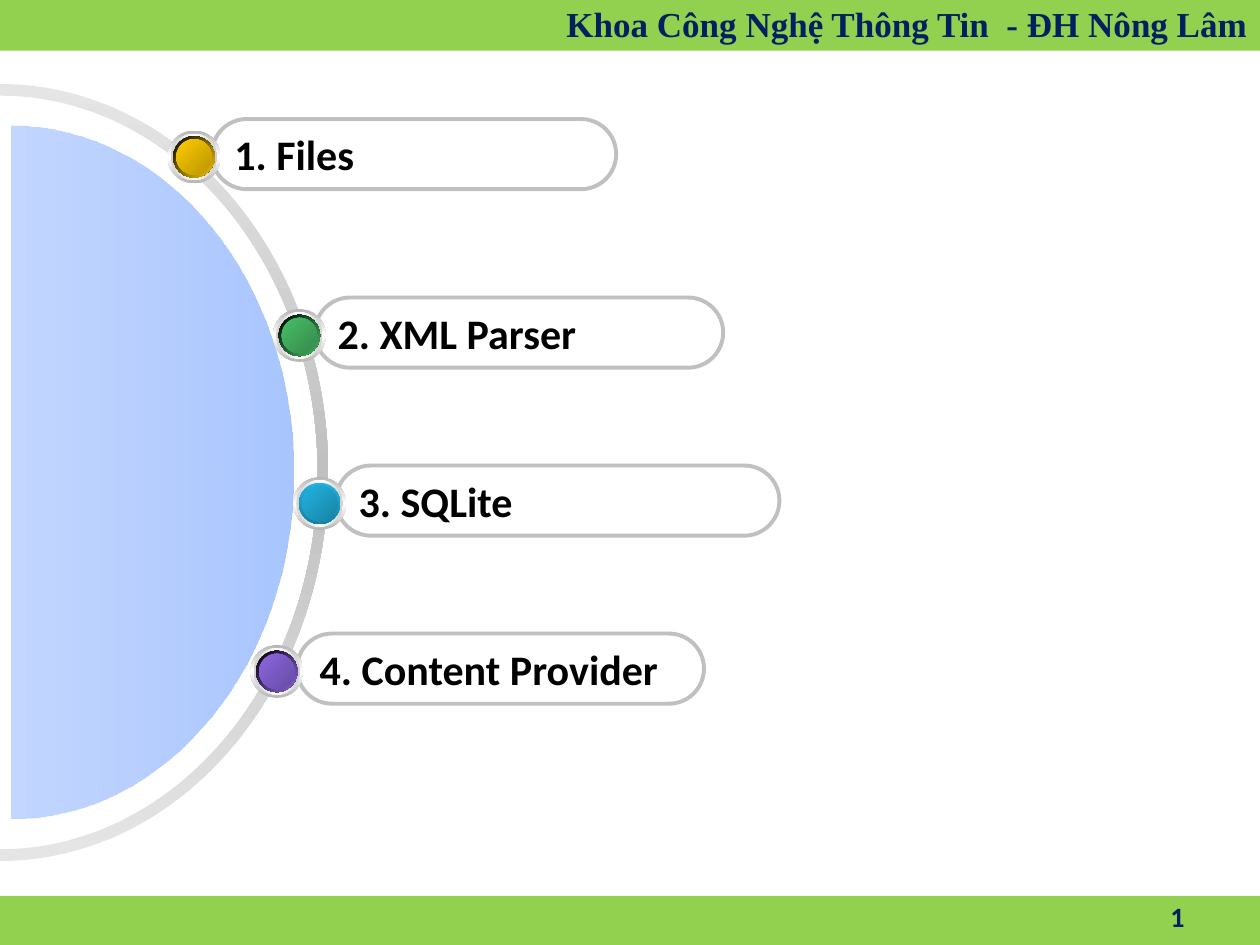
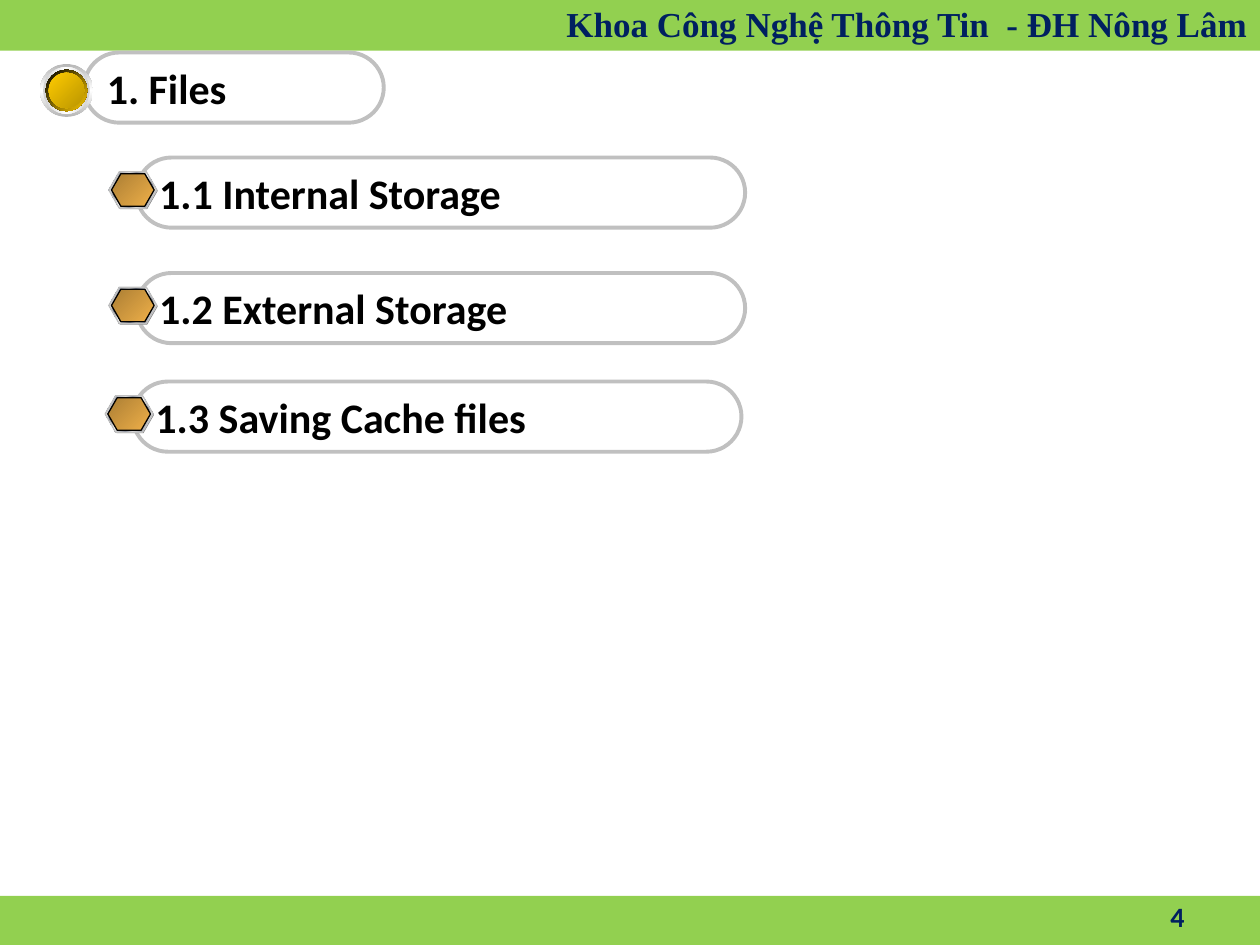
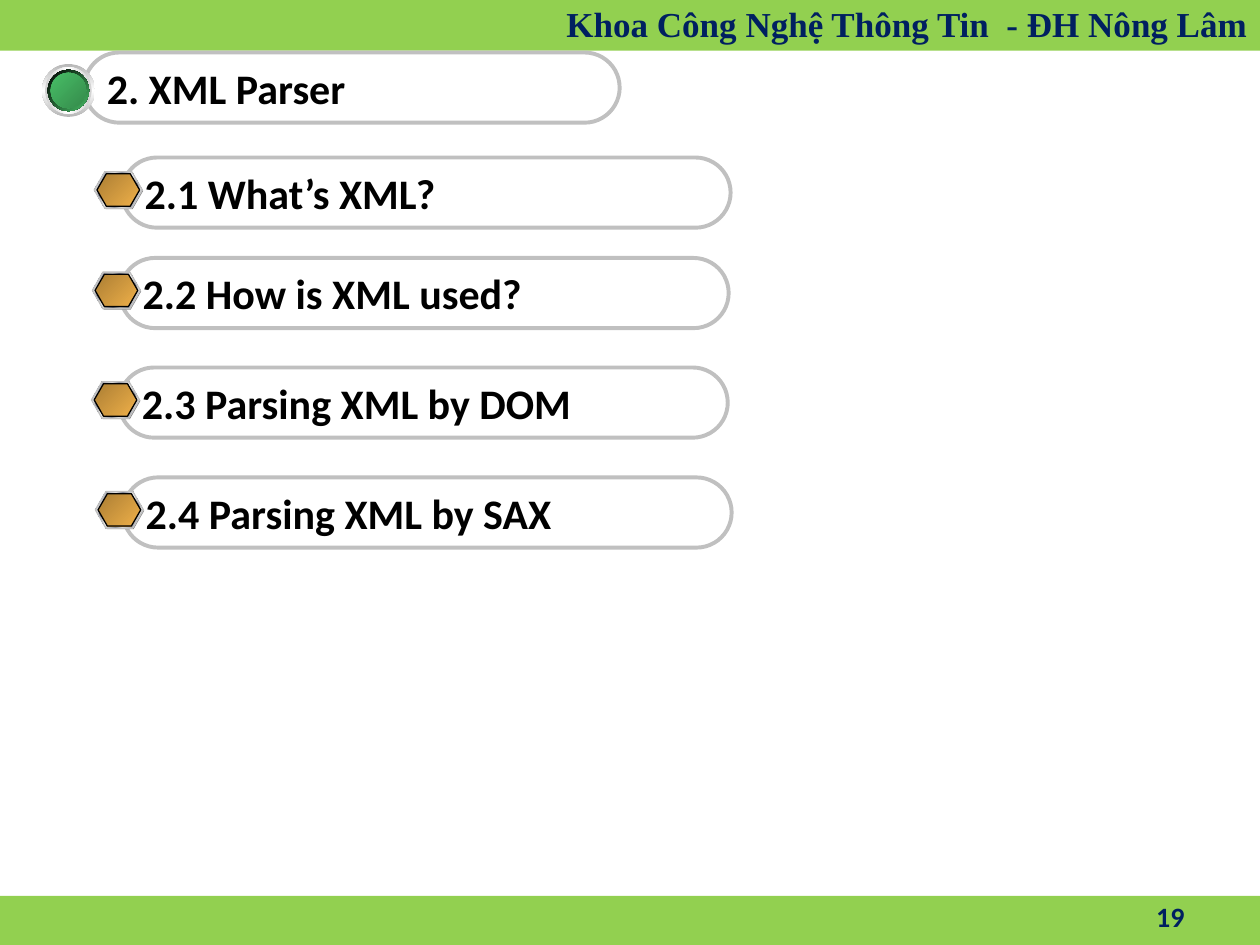
from pptx import Presentation
from pptx import util as u
from pptx.dml import color
from pptx.enum import shapes, text
from pptx.oxml import parse_xml
from pptx.oxml.ns import nsdecls, qn

Pt = u.Pt
KIND = shapes.MSO_SHAPE
GREEN, NAVY, SILVER, BLACK = "92D050", "002060", "C0C0C0", "000000"
SLIDE_W, SLIDE_H = 720, 540
PILL_H = 40.1
ORB_D = 30.2
TOPIC_W = 347.8
HEX_W, HEX_H = 27.4, 20.9
ARC_PULL = 0.5523

ORBS = {
    "Files": ([(0, BLACK), (100, "FFCC00")], 45, "FFCC00", "BA9500"),
    "XML Parser": ([(0, BLACK), (100, "48BE67")], 45, "48BE67", "358B4B"),
    "SQLite": ([(0, "21B3E1"), (100, "1880A1")], 90, "21B3E1", "1883A4"),
    "Content Provider": ([(0, BLACK), (100, "8D67E1")], 45, "8D67E1", "674BA4"),
}
STEEL = [(0, "E6E6E6"), (7, "7D8496"), (26, "E6E6E6"), (34, "7D8496"),
         (46, "E6E6E6"), (50, "FFFFFF"), (54, "E6E6E6"), (66, "7D8496"),
         (74, "E6E6E6"), (93, "7D8496"), (100, "E6E6E6")]
BRONZE = [(0, "AB7E34"), (100, "EFB049")]


def rgb(value):
    return color.RGBColor.from_string(value)


def mirrored(edge, middle):
    return [(0, edge), (50, middle), (100, edge)]


def set_gradient(shape, stops, angle):
    shape.fill.gradient()
    marks = ""
    for position, value, *alpha in stops:
        opacity = f'<a:alpha val="{alpha[0] * 1000}"/>' if alpha else ""
        marks += (f'<a:gs pos="{position * 1000}"><a:srgbClr val="{value}">'
                  f'{opacity}</a:srgbClr></a:gs>')
    gradient = parse_xml(
        f'<a:gradFill {nsdecls("a")} rotWithShape="1"><a:gsLst>{marks}</a:gsLst>'
        f'<a:lin ang="{angle * 60000}" scaled="0"/></a:gradFill>')
    properties = shape.element.spPr
    properties.replace(properties.find(qn("a:gradFill")), gradient)


def paint(shape, fill=None, line=None, weight=0.75, angle=45):
    shape.shadow.inherit = False
    if fill is None:
        shape.fill.background()
    elif isinstance(fill, str):
        shape.fill.solid()
        shape.fill.fore_color.rgb = rgb(fill)
    else:
        set_gradient(shape, fill, angle)
    if line:
        shape.line.color.rgb = rgb(line)
        shape.line.width = Pt(weight)
    else:
        shape.line.fill.background()


def add_part(parent, kind, box, **look):
    part = parent.shapes.add_shape(kind, *map(Pt, box))
    paint(part, **look)
    return part


def write(shape, words, size, font="Calibri", ink=BLACK,
          align=text.PP_ALIGN.LEFT, anchor=text.MSO_ANCHOR.MIDDLE):
    frame = shape.text_frame
    frame.word_wrap = True
    frame.auto_size = text.MSO_AUTO_SIZE.NONE
    frame.vertical_anchor = anchor
    frame.text = words
    paragraph = frame.paragraphs[0]
    paragraph.alignment = align
    style = paragraph.runs[0].font
    style.name, style.size, style.bold = font, Pt(size), True
    style.color.rgb = rgb(ink)
    return paragraph


def move_bands_to_master(deck, slide):
    footer = add_part(slide, KIND.RECTANGLE, (0, 512, SLIDE_W, SLIDE_H - 512),
                      fill=GREEN)
    header = add_part(slide, KIND.RECTANGLE, (0, -22, SLIDE_W, 51), fill=GREEN)
    faculty = write(header, "Khoa Công Nghệ Thông Tin  - ĐH Nông Lâm", 20,
                    "Times New Roman", NAVY, text.PP_ALIGN.RIGHT,
                    text.MSO_ANCHOR.BOTTOM)
    faculty.line_spacing = 1.8
    tree = deck.slide_master.shapes.element
    for offset, band in enumerate((footer, header)):
        tree.insert(2 + offset, band.element)


def add_page_number(slide, number):
    box = slide.shapes.add_textbox(*map(Pt, (516.2, 509, 167.8, 28.8)))
    write(box, str(number), 16, ink=NAVY, align=text.PP_ALIGN.RIGHT)


def add_pill(parent, left, top, width, words=None):
    pill = add_part(parent, KIND.ROUNDED_RECTANGLE, (left, top, width, PILL_H),
                    line=SILVER, weight=2.25)
    pill.adjustments[0] = 0.5
    if words:
        write(pill, words, 24)


def add_orb(slide, left, top, subject):
    rim, rim_angle, light, dark = ORBS[subject]
    orb = slide.shapes.add_group_shape()
    layers = [
        (ORB_D, mirrored("B6B6B6", "FFFFFF"), 90),
        (26.6, mirrored("D1D1D1", "FFFFFF"), 0),
        (23.7, rim, rim_angle),
        (20.3, [(0, light), (100, dark)], 45),
    ]
    for diameter, stops, angle in layers:
        inset = (ORB_D - diameter) / 2
        add_part(orb, KIND.OVAL, (left + inset, top + inset, diameter, diameter),
                 fill=stops, angle=angle)


def path_step(command, *points):
    marks = "".join(f'<a:pt x="{Pt(x)}" y="{Pt(y)}"/>' for x, y in points)
    return f"<a:{command}>{marks}</a:{command}>"


def upper_arc(cx, cy, rx, ry, direction=1):
    rx *= direction
    pull_x, pull_y = rx * ARC_PULL, ry * ARC_PULL
    top = cy - ry
    return (path_step("cubicBezTo", (cx - rx, cy - pull_y), (cx - pull_x, top),
                      (cx, top))
            + path_step("cubicBezTo", (cx + pull_x, top), (cx + rx, cy - pull_y),
                        (cx + rx, cy)))


def add_dome(slide, cx, cy, rx, ry, stops, angle, inner=None):
    width, height = 2 * rx, 2 * ry
    left, top = cx - rx, cy - ry
    corners = [(left, top), (left + width, top), (left + width, top + height),
               (left, top + height)]
    builder = slide.shapes.build_freeform(*map(Pt, corners[0]))
    builder.add_line_segments([tuple(map(Pt, c)) for c in corners[1:]], close=True)
    dome = builder.convert_to_shape()
    steps = path_step("moveTo", (0, ry)) + upper_arc(rx, ry, rx, ry)
    if inner:
        steps += path_step("lnTo", (rx + inner[0], ry))
        steps += upper_arc(rx, ry, *inner, direction=-1)
    outline = parse_xml(f'<a:path {nsdecls("a")} w="{Pt(width)}" h="{Pt(height)}">'
                        f'{steps}<a:close/></a:path>')
    paths = dome.element.spPr.find(qn("a:custGeom")).find(qn("a:pathLst"))
    paths.replace(paths[0], outline)
    paint(dome, fill=stops, angle=angle)
    dome.rotation = 90


def add_dial(slide, cx, cy):
    add_dome(slide, cx, cy, 222, 187.5, mirrored("E5E5E5", SILVER), 0,
             inner=(215.3, 181.5))
    add_dome(slide, cx + 6.5, cy, 198, 161.3,
             [(0, "6699FF", 56), (100, "B2CCFF", 52)], 90)


def add_topic(slide, left, top, words):
    topic = slide.shapes.add_group_shape()
    add_pill(topic, left, top, TOPIC_W, words)
    hex_left, hex_top = left - 15.8, top + 8.1
    layers = [
        (0.5, 0.5, HEX_W, HEX_H, dict(fill="808080")),
        (0, 0, HEX_W, HEX_H, dict(fill=STEEL, line=SILVER)),
        (1.5, 1.2, HEX_W - 3, HEX_H - 2.4, dict(fill=BRONZE, line=BLACK)),
    ]
    for dx, dy, width, height, look in layers:
        hexagon = add_part(topic, KIND.HEXAGON,
                           (hex_left + dx, hex_top + dy, width, height), **look)
        hexagon.adjustments[0] = 0.289
        hexagon.adjustments[1] = 1.155


def add_heading(slide, left, top, width, words):
    add_pill(slide, left, top, width)
    title = slide.shapes.title
    title.left, title.top, title.width, title.height = map(
        Pt, (left, top, width, PILL_H))
    write(title, words, 24)
    title.text_frame.margin_left = Pt(12.9)


def build_overview(deck, page, entries):
    slide = deck.slides.add_slide(deck.slide_layouts[6])
    move_bands_to_master(deck, slide)
    add_page_number(slide, page)
    add_dial(slide, 0, SLIDE_H / 2)
    for number, (subject, left, top, width, overlap) in enumerate(entries, 1):
        add_pill(slide, left, top, width, f"{number}. {subject}")
        add_orb(slide, left - overlap, top + 6.6, subject)


def build_section(deck, page, number, subject, width, overlap, topics):
    slide = deck.slides.add_slide(deck.slide_layouts[5])
    add_page_number(slide, page)
    left, top = 48.1, 30
    add_heading(slide, left, top, width, f"{number}. {subject}")
    add_orb(slide, left - overlap, top + 6.6, subject)
    for index, (topic, topic_left, topic_top) in enumerate(topics, 1):
        add_topic(slide, topic_left, topic_top, f"{number}.{index} {topic}")


deck = Presentation()
deck.slide_width, deck.slide_height = Pt(SLIDE_W), Pt(SLIDE_H)

build_overview(deck, 1, [
    ("Files", 121, 68, 231.1, 25.2),
    ("XML Parser", 180, 170, 233.3, 24),
    ("SQLite", 192, 266, 253.4, 24.4),
    ("Content Provider", 169.7, 362, 232.6, 26.6),
])
build_section(deck, 4, 1, "Files", 171.2, 25.2, [
    ("Internal Storage", 78, 90),
    ("External Storage", 78, 156),
    ("Saving Cache files", 75.9, 218),
])
build_section(deck, 19, 2, "XML Parser", 306, 24.1, [
    ("What’s XML?", 69.7, 90),
    ("How is XML used?", 68.6, 147.4),
    ("Parsing XML by DOM", 68.1, 210),
    ("Parsing XML by SAX", 70.3, 272.8),
])
deck.save("out.pptx")
